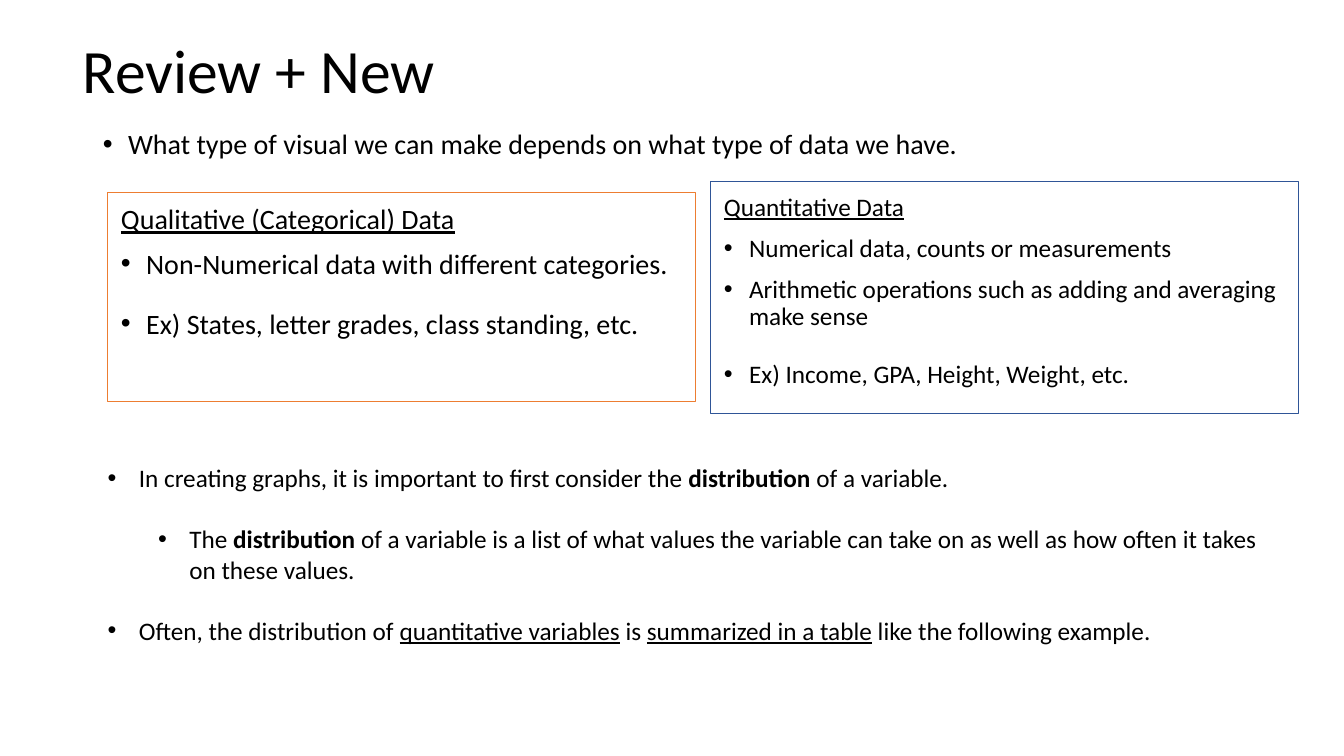
"""Build the slide on data types and the distribution of a variable."""
from lxml.etree import SubElement
from pptx import Presentation
from pptx.dml.color import RGBColor
from pptx.enum.shapes import MSO_SHAPE
from pptx.enum.text import MSO_ANCHOR, MSO_AUTO_SIZE, PP_ALIGN
from pptx.oxml.ns import qn
from pptx.util import Inches, Pt

COLORS = {"text": "000000", "qualitative": "ED7D31", "quantitative": "2F5597"}
FONT = "Calibri"
PLAIN, BOLD, UNDERLINE = {}, {"bold": True}, {"underline": True}
TIGHT, LOOSE, LINE_GAP = 10, 21.3, 22

TITLE = [dict(runs=[("Review + New", PLAIN)])]
INTRO = [dict(runs=[("What type of visual we can make depends on what type of data we have.", PLAIN)],
              indent=0.25, hang=0.25)]

DATA_TYPES = [
    dict(color="qualitative", size=20, top=1.91, height=2.07,
         heading="Qualitative (Categorical) Data",
         points=["Non-Numerical data with different categories."],
         example="Ex) States, letter grades, class standing, etc."),
    dict(color="quantitative", size=18, top=1.8, height=2.3,
         heading="Quantitative Data",
         points=["Numerical data, counts or measurements",
                 "Arithmetic operations such as adding and averaging make sense"],
         example="Ex) Income, GPA, Height, Weight, etc."),
]

DISTRIBUTION = [
    dict(indent=0.31, hang=0.31, runs=[
        ("In creating graphs, it is important to first consider the ", PLAIN),
        ("distribution", BOLD), (" of a variable.", PLAIN)]),
    dict(indent=0.81, hang=0.31, level=1, before=LINE_GAP, runs=[
        ("The ", PLAIN), ("distribution", BOLD),
        (" of a variable is a list of what values the variable can take on"
         " as well as how often it takes on these values.", PLAIN)]),
    dict(indent=0.31, hang=0.31, before=LINE_GAP, runs=[
        ("Often, the distribution of ", PLAIN), ("quantitative variables", UNDERLINE),
        (" is ", PLAIN), ("summarized in a table", UNDERLINE),
        (" like the following example.", PLAIN)]),
]

BOX_LEFT, BOX_WIDTH, BOX_GAP, BOX_INSET = 1.07, 5.83, 0.15, 0.13


def apply(target, formats):
    for attribute, value in formats.items():
        setattr(target, attribute, value)


def place(shape, left, top, width, height):
    apply(shape, dict(left=Inches(left), top=Inches(top),
                      width=Inches(width), height=Inches(height)))


def write(frame, paragraphs, size, spacing=1.0, anchor=MSO_ANCHOR.TOP, insets=(0.1, 0.05, 0.1, 0.05)):
    sides = ("margin_left", "margin_top", "margin_right", "margin_bottom")
    apply(frame, dict(word_wrap=True, auto_size=MSO_AUTO_SIZE.NONE, vertical_anchor=anchor))
    apply(frame, {side: Inches(inset) for side, inset in zip(sides, insets)})
    for index, content in enumerate(paragraphs):
        paragraph = frame.add_paragraph() if index else frame.paragraphs[0]
        apply(paragraph, dict(alignment=PP_ALIGN.LEFT, line_spacing=spacing,
                              level=content.get("level", 0),
                              space_before=Pt(content.get("before", 0)), space_after=Pt(0)))
        properties = paragraph._p.get_or_add_pPr()
        hang = content.get("hang", 0)
        properties.set("marL", str(Inches(content.get("indent", 0))))
        properties.set("indent", str(-Inches(hang)))
        if hang:
            SubElement(properties, qn("a:buFont"), typeface="Arial")
            SubElement(properties, qn("a:buChar"), char="•")
        else:
            SubElement(properties, qn("a:buNone"))
        for words, emphasis in content["runs"]:
            run = paragraph.add_run()
            run.text = words
            apply(run.font, dict(name=FONT, size=Pt(size), **emphasis))
            run.font.color.rgb = RGBColor.from_string(COLORS["text"])


def data_type_paragraphs(data_type):
    bullet = dict(indent=0.25, hang=0.25)
    return [dict(runs=[(data_type["heading"], UNDERLINE)]),
            *(dict(runs=[(point, PLAIN)], before=TIGHT, **bullet) for point in data_type["points"]),
            dict(runs=[(data_type["example"], PLAIN)], before=LOOSE, **bullet)]


def main():
    deck = Presentation()
    apply(deck, dict(slide_width=Inches(13.33), slide_height=Inches(7.5)))
    slide = deck.slides.add_slide(deck.slide_layouts[1])
    title, intro = slide.placeholders
    place(title, 0.72, 0, 11.5, 1.45)
    write(title.text_frame, TITLE, 44, 0.9, MSO_ANCHOR.MIDDLE)
    place(intro, 0.92, 1.24, 11.5, 0.89)
    write(intro.text_frame, INTRO, 20, 0.9)

    for column, data_type in enumerate(DATA_TYPES):
        box = slide.shapes.add_shape(MSO_SHAPE.RECTANGLE, 0, 0, 0, 0)
        place(box, BOX_LEFT + column * (BOX_WIDTH + BOX_GAP), data_type["top"],
              BOX_WIDTH, data_type["height"])
        box.shadow.inherit = False
        box.fill.background()
        box.line.color.rgb = RGBColor.from_string(COLORS[data_type["color"]])
        box.line.width = Pt(0.75)
        write(box.text_frame, data_type_paragraphs(data_type), data_type["size"], 0.9,
              insets=(BOX_INSET,) * 4)

    distribution = slide.shapes.add_textbox(0, 0, 0, 0)
    place(distribution, 0.97, 3.93, 11.87, 3.13)
    write(distribution.text_frame, DISTRIBUTION, 18, insets=(0.1, 0.66, 0.1, 0.05))
    deck.save("out.pptx")


if __name__ == "__main__":
    main()
